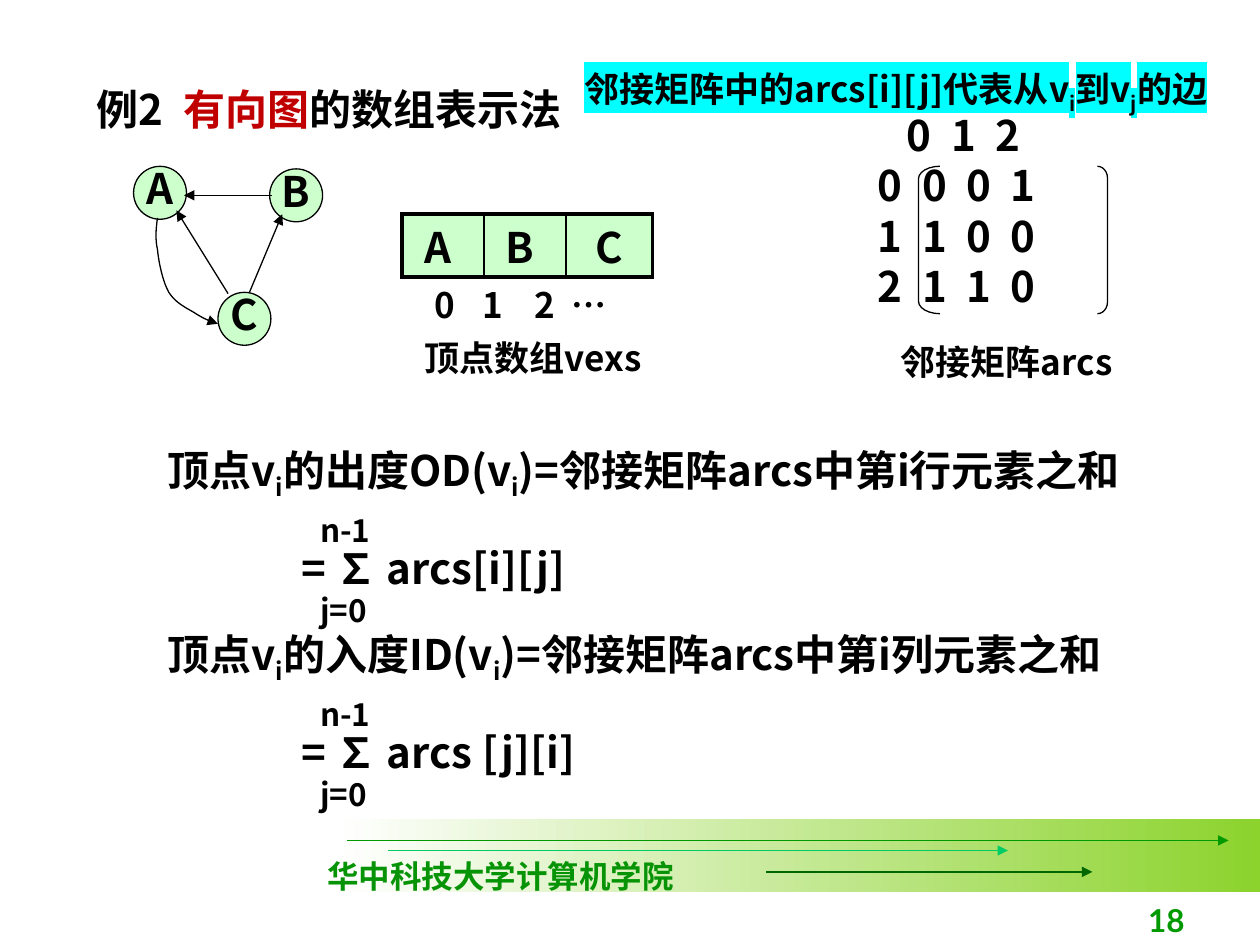
from lxml import etree
from pptx import Presentation
from pptx.dml.color import RGBColor
from pptx.enum.shapes import MSO_CONNECTOR as CONN, MSO_SHAPE as SHAPE
from pptx.enum.text import MSO_ANCHOR as ANCHOR, MSO_AUTO_SIZE as FIT, PP_ALIGN as ALIGN
from pptx.oxml.ns import qn
from pptx.util import Inches, Pt

BLACK = RGBColor(0, 0, 0)
WHITE = RGBColor(255, 255, 255)
RED = RGBColor(0xC0, 0, 0)
MINT = RGBColor(0xCC, 0xFF, 0xCC)
LIME = RGBColor(0x8C, 0xD3, 0x2D)
GREEN = RGBColor(0, 0x99, 0)
TEAL = RGBColor(0, 0xCC, 0x66)
DARK_GREEN = RGBColor(0, 0x66, 0)
SCHOOL_GREEN = RGBColor(0x06, 0x94, 0x06)
CYAN = RGBColor(0, 0xFF, 0xFF)
CJK = "Noto Sans CJK SC"


def style_run(r, size, color=BLACK, font=CJK):
    r.font.size = Pt(size)
    r.font.bold = True
    r.font.color.rgb = color
    r.font.name = font
    ea = etree.Element(qn("a:ea"), typeface=CJK)
    r.font._element.find(qn("a:latin")).addnext(ea)


def add_runs(p, parts, size):
    for i, part in enumerate(parts):
        r = p.add_run()
        r.text = part
        style_run(r, size)
        if i % 2:
            r.font._element.set("baseline", "-25000")


def highlight(p, color):
    for r in p.runs:
        mark = etree.Element(qn("a:highlight"))
        etree.SubElement(mark, qn("a:srgbClr"), val=str(color))
        r.font._element.find(qn("a:latin")).addprevious(mark)


def set_tabs(p, stops):
    tabs = etree.SubElement(p._p.get_or_add_pPr(), qn("a:tabLst"))
    for stop in stops:
        etree.SubElement(tabs, qn("a:tab"), pos=str(Inches(stop)), algn="l")


def place(sp, x, y, w, h):
    sp.left, sp.top, sp.width, sp.height = map(Inches, (x, y, w, h))


def add_text(s, box, text, size, color=BLACK, font=CJK):
    tf = s.shapes.add_textbox(*map(Inches, box)).text_frame
    tf.word_wrap = True
    p = tf.paragraphs[0]
    p.text = text
    for r in p.runs:
        style_run(r, size, color, font)
    return p


def add_shape(s, kind, box, line=BLACK):
    sp = s.shapes.add_shape(kind, *map(Inches, box))
    sp.shadow.inherit = False
    sp.fill.background()
    if line is None:
        sp.line.fill.background()
    else:
        sp.line.color.rgb = line
        sp.line.width = Pt(0.75)
    return sp


def add_arrowhead(sp):
    etree.SubElement(sp.line._get_or_add_ln(), qn("a:tailEnd"), type="triangle")


def add_arrow(s, start, end, color=BLACK):
    c = s.shapes.add_connector(CONN.STRAIGHT, *map(Inches, (*start, *end)))
    c.line.color.rgb = color
    c.line.width = Pt(0.75)
    add_arrowhead(c)
    etree.SubElement(c._element.spPr, qn("a:effectLst"))


def add_vertex(s, name, x, y):
    sp = add_shape(s, SHAPE.OVAL, (x, y, 0.42, 0.42))
    sp.fill.solid()
    sp.fill.fore_color.rgb = MINT
    tf = sp.text_frame
    tf.word_wrap = False
    tf.vertical_anchor = ANCHOR.MIDDLE
    p = tf.paragraphs[0]
    p.text = name
    p.alignment = ALIGN.CENTER
    p.line_spacing = 0.8
    style_run(p.runs[0], 24)


def bezier(points, steps=10):
    for i in range(1, steps + 1):
        t = i / steps
        weights = ((1 - t) ** 3, 3 * t * (1 - t) ** 2, 3 * t * t * (1 - t), t ** 3)
        yield tuple(Inches(sum(w * pt[k] for w, pt in zip(weights, points))) for k in (0, 1))


def add_curve(s, knots):
    fb = s.shapes.build_freeform(*map(Inches, knots[0]))
    for i in range(0, len(knots) - 1, 3):
        fb.add_line_segments(bezier(knots[i:i + 4]), close=False)
    sp = fb.convert_to_shape()
    sp.shadow.inherit = False
    sp.fill.background()
    sp.line.color.rgb = BLACK
    sp.line.width = Pt(0.75)
    add_arrowhead(sp)


def set_border(cell, side, width):
    ln = etree.SubElement(cell._tc.get_or_add_tcPr(), qn("a:" + side), w=str(Pt(width)))
    fill = etree.SubElement(ln, qn("a:solidFill"))
    etree.SubElement(fill, qn("a:srgbClr"), val=str(BLACK))


def add_vertex_table(s, names, widths):
    table = s.shapes.add_table(1, len(names), *map(Inches, (3.19, 1.7, sum(widths), 0.5))).table
    last = len(names) - 1
    for i, (name, width) in enumerate(zip(names, widths)):
        table.columns[i].width = Inches(width)
        cell = table.cell(0, i)
        cell.margin_top, cell.margin_bottom = Inches(0.1), 0
        p = cell.text_frame.paragraphs[0]
        p.text = name
        p.alignment = ALIGN.CENTER
        p.line_spacing = Pt(28)
        style_run(p.runs[0], 24)
        borders = {"lnL": 1 if i else 2.25, "lnR": 1 if i < last else 2.25, "lnT": 2.25, "lnB": 2.25}
        for side, weight in borders.items():
            set_border(cell, side, weight)
        cell.fill.solid()
        cell.fill.fore_color.rgb = MINT


def add_matrix(s):
    rows = ("\t0\t1\t2", "0\t0\t0\t1", "1\t1\t0\t0", "2\t1\t1\t0")
    tf = s.shapes.add_textbox(*map(Inches, (6.87, 0.82, 2.5, 1.72))).text_frame
    tf.word_wrap = True
    for i, row in enumerate(rows):
        p = tf.add_paragraph() if i else tf.paragraphs[0]
        p.line_spacing = Pt(28.8)
        set_tabs(p, [(0.35 if i else 0.23) + 0.35 * k for k in range(3)])
        p.text = row
        style_run(p.runs[0], 24)
    left = add_shape(s, SHAPE.LEFT_BRACKET, (7.29, 1.32, 0.17, 1.17))
    left.adjustments[0] = 0.58
    right = add_shape(s, SHAPE.RIGHT_BRACKET, (8.71, 1.32, 0.08, 1.17))
    right.adjustments[0] = 1.17


def fill_degrees(body):
    place(body, 1.23, 3.48, 8.5, 2.98)
    tf = body.text_frame
    tf.auto_size = FIT.NONE
    lines = []
    for degree, axis, term in (("的出度OD(v", "行", "arcs[i][j]"), ("的入度ID(v", "列", "arcs [j][i]")):
        lines += [
            (("顶点v", "i", degree, "i", f")=邻接矩阵arcs中第i{axis}元素之和"), 24, 0, 32.5),
            (("n-1",), 18, 1.21, 27),
            ((f"= ∑ {term}",), 24, 1.06, 25),
            (("j=0",), 18, 1.21, 20.5),
        ]
    for i, (parts, size, indent, spacing) in enumerate(lines):
        p = tf.add_paragraph() if i else tf.paragraphs[0]
        p.space_before = Pt(0)
        p.line_spacing = Pt(spacing)
        pPr = p._p.get_or_add_pPr()
        pPr.set("marL", str(Inches(indent)))
        pPr.set("indent", "0")
        etree.SubElement(pPr, qn("a:buNone"))
        add_runs(p, parts, size)


def fill_title(title):
    place(title, 1.36, 0.61, 3.33, 0.51)
    tf = title.text_frame
    tf.auto_size = FIT.NONE
    tf.vertical_anchor = ANCHOR.TOP
    p = tf.paragraphs[0]
    p.alignment = ALIGN.LEFT
    for text, color in (("有向图", RED), ("的数组表示法", BLACK)):
        r = p.add_run()
        r.text = text
        style_run(r, 24, color, "Lato")


def add_footer(s):
    band = add_shape(s, SHAPE.RECTANGLE, (2.67, 6.5, 7.33, 0.58), None)
    band.fill.gradient()
    band.fill.gradient_angle = 0
    for stop, color, pos in zip(band.fill.gradient_stops, (WHITE, LIME), (0, 1)):
        stop.color.rgb = color
        stop.position = pos
    for x1, x2, y, color in ((2.75, 9.75, 6.67, GREEN), (3.08, 8, 6.75, TEAL), (6.08, 8.67, 6.92, DARK_GREEN)):
        add_arrow(s, (x1, y), (x2, y), color)
    add_text(s, (2.5, 6.75, 2.95, 0.4), "华中科技大学计算机学院", 18, SCHOOL_GREEN, "Times New Roman")
    p = add_text(s, (7.42, 7.1, 2.08, 0.4), "18", 18, GREEN, "Lato")
    p.alignment = ALIGN.RIGHT


def main():
    prs = Presentation()
    prs.slide_width, prs.slide_height = Inches(10), Inches(7.5)
    s = prs.slides.add_slide(prs.slide_layouts[1])
    add_footer(s)
    fill_title(s.shapes.title)
    fill_degrees(s.placeholders[1])
    for name, x, y in (("C", 1.73, 2.32), ("A", 1.06, 1.32), ("B", 2.14, 1.34)):
        add_vertex(s, name, x, y)
    for start, end in (((1.98, 2.32), (2.24, 1.7)), ((2.16, 1.55), (1.46, 1.55)), ((1.81, 2.33), (1.4, 1.67))):
        add_arrow(s, start, end)
    add_curve(s, [(1.25, 1.73), (1.24, 1.81), (1.23, 1.89), (1.25, 1.98), (1.26, 2.08), (1.29, 2.23),
                  (1.34, 2.32), (1.39, 2.4), (1.47, 2.44), (1.54, 2.48), (1.6, 2.52), (1.66, 2.55), (1.73, 2.57)])
    add_matrix(s)
    add_vertex_table(s, ("A ", "B ", "C"), (0.65, 0.65, 0.69))
    p = add_text(s, (3.35, 2.2, 2.6, 0.43), "", 20)
    set_tabs(p, (0.38, 0.79, 1.09))
    add_runs(p, ["0\t1\t2\t…"], 20)
    add_text(s, (0.67, 0.61, 2.13, 0.5), "例2", 24)
    add_text(s, (7.05, 2.65, 1.96, 0.44), "邻接矩阵arcs", 20)
    add_text(s, (3.27, 2.62, 2.52, 0.43), "顶点数组vexs", 20)
    p = add_text(s, (4.54, 0.49, 6.36, 0.44), "", 20)
    add_runs(p, ["邻接矩阵中的arcs[i][j]代表从v", "i", "到v", "j", "的边"], 20)
    highlight(p, CYAN)
    prs.save("out.pptx")


if __name__ == "__main__":
    main()
